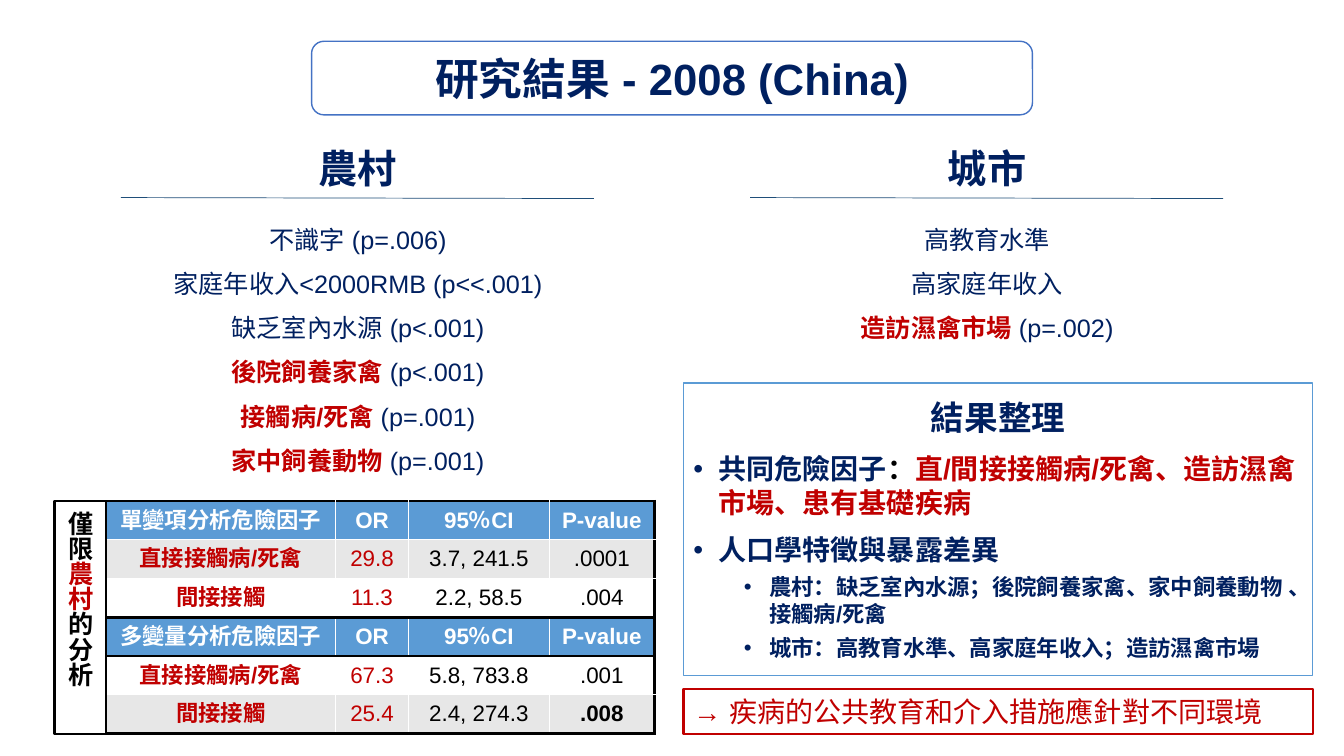
from lxml.etree import SubElement
from pptx import Presentation
from pptx.dml.color import RGBColor
from pptx.enum.shapes import MSO_CONNECTOR, MSO_SHAPE
from pptx.enum.text import MSO_ANCHOR, PP_ALIGN
from pptx.oxml.ns import qn
from pptx.util import Inches, Pt

NAVY = RGBColor(0x00, 0x20, 0x60)
RED = RGBColor(0xC0, 0x00, 0x00)
BLACK = RGBColor(0x00, 0x00, 0x00)
WHITE = RGBColor(0xFF, 0xFF, 0xFF)
BLUE = RGBColor(0x5B, 0x9B, 0xD5)
TITLE_BLUE = RGBColor(0x44, 0x72, 0xC4)
RULE_BLUE = RGBColor(0x1F, 0x4E, 0x79)
GREY = RGBColor(0xE7, 0xE7, 0xE7)
FONT = "Arial"

# Slide grid: two columns and the rows they share
LEFT, RIGHT = 0.54, 6.78
COLUMN_WIDTH, PANEL_WIDTH = 6.02, 6.24
LISTS_TOP, TABLE_TOP, TABLE_HEIGHT = 1.38, 4.97, 2.31
LABEL_WIDTH = 0.51

deck = Presentation()
deck.slide_width, deck.slide_height = Inches(13.33), Inches(7.5)
page = deck.slides.add_slide(deck.slide_layouts[6])


def write(para, *spans, size=18, color=NAVY, bold=False, align=PP_ALIGN.CENTER,
          before=0, spacing=None, bullet_indent=None):
    """Fill a paragraph; a span is a text or a (text, color, bold) tuple."""
    para.alignment = align
    para.space_before = Pt(before)
    if spacing:
        para.line_spacing = spacing
    if bullet_indent:
        settings = para._p.get_or_add_pPr()
        settings.set("marL", str(Inches(bullet_indent)))
        settings.set("indent", str(Inches(-0.25)))
        SubElement(settings, qn("a:buFont")).set("typeface", FONT)
        SubElement(settings, qn("a:buChar")).set("char", "•")
    for item in spans:
        text, ink, weight = (item, color, bold) if isinstance(item, str) else item
        span = para.add_run()
        span.text = text
        span.font.name = FONT
        span.font.size = Pt(size)
        span.font.bold = weight
        span.font.color.rgb = ink
        SubElement(span._r.get_or_add_rPr(), qn("a:ea")).set("typeface", FONT)


def add_box(box, line, width, fill=None, kind=MSO_SHAPE.RECTANGLE):
    """Add an outlined box and return its text frame."""
    shape = page.shapes.add_shape(kind, *map(Inches, box))
    shape.shadow.inherit = False
    if fill is None:
        shape.fill.background()
    else:
        shape.fill.solid()
        shape.fill.fore_color.rgb = fill
    shape.line.color.rgb = line
    shape.line.width = Pt(width)
    frame = shape.text_frame
    frame.word_wrap = True
    frame.vertical_anchor = MSO_ANCHOR.MIDDLE
    return frame


def add_title(box, text):
    frame = add_box(box, TITLE_BLUE, 1, WHITE, MSO_SHAPE.ROUNDED_RECTANGLE)
    frame.margin_top = Inches(0.12)
    write(frame.paragraphs[0], text, size=31.2, bold=True, spacing=0.9)


def add_factor_list(box, heading, factors):
    """Heading, thin rule and centred factors; a factor is (name, value, is_key)."""
    left, top, width, height = box
    frame = page.shapes.add_textbox(*map(Inches, box)).text_frame
    frame.word_wrap = True
    write(frame.paragraphs[0], heading, size=28, bold=True, before=10)
    for index, (name, value, is_key) in enumerate(factors):
        write(frame.add_paragraph(), (name, RED if is_key else NAVY, is_key), value,
              before=10 if index else 23.5)
    rule = page.shapes.add_connector(
        MSO_CONNECTOR.STRAIGHT, Inches(left + 0.66), Inches(top + 0.58),
        Inches(left + 5.35), Inches(top + 0.59))
    rule.line.color.rgb = RULE_BLUE
    rule.line.width = Pt(0.5)
    SubElement(rule._element.spPr, qn("a:effectLst"))


def set_border(cell, side, width):
    line = SubElement(cell._tc.get_or_add_tcPr(), qn("a:" + side), w=str(Pt(width)))
    color = SubElement(SubElement(line, qn("a:solidFill")), qn("a:srgbClr"))
    color.set("val", str(BLACK))


def add_odds_table(box, sections):
    """One blue header row per section, followed by its data rows."""
    rows = []
    for title, records in sections:
        rows.append((title, "OR", "95％CI", "P-value"))
        rows.extend(records)
    headers = [index for index, row in enumerate(rows) if row[1] == "OR"]
    last = len(rows) - 1
    shape = page.shapes.add_table(len(rows), 4, *map(Inches, box))
    table = shape.table
    for column, width in zip(table.columns, (2.28, 0.72, 1.4, 1.04)):
        column.width = Inches(width)
    for r, row in enumerate(rows):
        is_header = r in headers
        for c, text in enumerate(row):
            cell = table.cell(r, c)
            cell.vertical_anchor = MSO_ANCHOR.MIDDLE
            # Borders come before the fill in the cell properties
            if c == 3:
                set_border(cell, "lnR", 2.25)
            if is_header:
                set_border(cell, "lnT", 2.25 if r else 2)
            if r == last or r + 1 in headers:
                set_border(cell, "lnB", 2 if r == last else 2.25)
            cell.fill.solid()
            cell.fill.fore_color.rgb = BLUE if is_header else GREY if r in (1, last) else WHITE
            color = WHITE if is_header else RED if c < 2 else BLACK
            write(cell.text_frame.paragraphs[0], text, size=16, color=color,
                  bold=is_header or c == 0 or text == ".008")


def add_side_label(box, *spans):
    frame = add_box(box, BLACK, 1.5, WHITE)
    frame._txBody.bodyPr.set("vert", "eaVert")
    write(frame.paragraphs[0], *spans, color=BLACK, bold=True, before=10)


def add_summary(box, heading, points):
    """Heading and bullets; a point is (level, spans)."""
    frame = add_box(box, BLUE, 1, WHITE)
    write(frame.paragraphs[0], heading, size=24, bold=True, before=10)
    for level, spans in points:
        para = frame.add_paragraph()
        para.level = level
        write(para, *spans, size=16 if level else 20, bold=True, align=PP_ALIGN.LEFT,
              before=5 if level else 10, bullet_indent=0.75 if level else 0.25)


def add_conclusion(box, text):
    frame = add_box(box, RED, 1.5)
    write(frame.paragraphs[0], text, size=20, color=RED, align=PP_ALIGN.LEFT)


add_title((3.09, 0.41, 7.15, 0.73), "研究結果 - 2008 (China)")

# Risk factors by region
add_factor_list((LEFT, LISTS_TOP, COLUMN_WIDTH, 3.44), "農村", [
    ("不識字 ", "(p=.006)", False),
    ("家庭年收入", "<2000RMB (p<<.001)", False),
    ("缺乏室內水源 ", "(p<.001)", False),
    ("後院飼養家禽 ", "(p<.001)", True),
    ("接觸病/死禽 ", "(p=.001)", True),
    ("家中飼養動物 ", "(p=.001)", True),
])
add_factor_list((RIGHT, LISTS_TOP, COLUMN_WIDTH, 2.91), "城市", [
    ("高教育水準", "", False),
    ("高家庭年收入", "", False),
    ("造訪濕禽市場 ", "(p=.002)", True),
])

# Rural analysis
add_odds_table((LEFT + LABEL_WIDTH, TABLE_TOP, 5.44, TABLE_HEIGHT), [
    ("單變項分析危險因子", [("直接接觸病/死禽", "29.8", "3.7, 241.5", ".0001"),
                   ("間接接觸", "11.3", "2.2, 58.5", ".004")]),
    ("多變量分析危險因子", [("直接接觸病/死禽", "67.3", "5.8, 783.8", ".001"),
                   ("間接接觸", "25.4", "2.4, 274.3", ".008")]),
])
add_side_label((LEFT, TABLE_TOP, LABEL_WIDTH, TABLE_HEIGHT),
               "僅限", ("農村", RED, True), "的分析")

# Summary and conclusion
add_summary((RIGHT, 3.8, PANEL_WIDTH, 2.9), "結果整理", [
    (0, ["共同危險因子", ("：", BLACK, True),
         ("直/間接接觸病/死禽、造訪濕禽市場、患有基礎疾病", RED, True)]),
    (0, ["人口學特徵與暴露差異"]),
    (1, ["農村：缺乏室內水源；後院飼養家禽、家中飼養動物 、接觸病/死禽"]),
    (1, ["城市：高教育水準、高家庭年收入；造訪濕禽市場"]),
])
add_conclusion((RIGHT, 6.84, PANEL_WIDTH, 0.44), "→ 疾病的公共教育和介入措施應針對不同環境")

deck.save("out.pptx")
